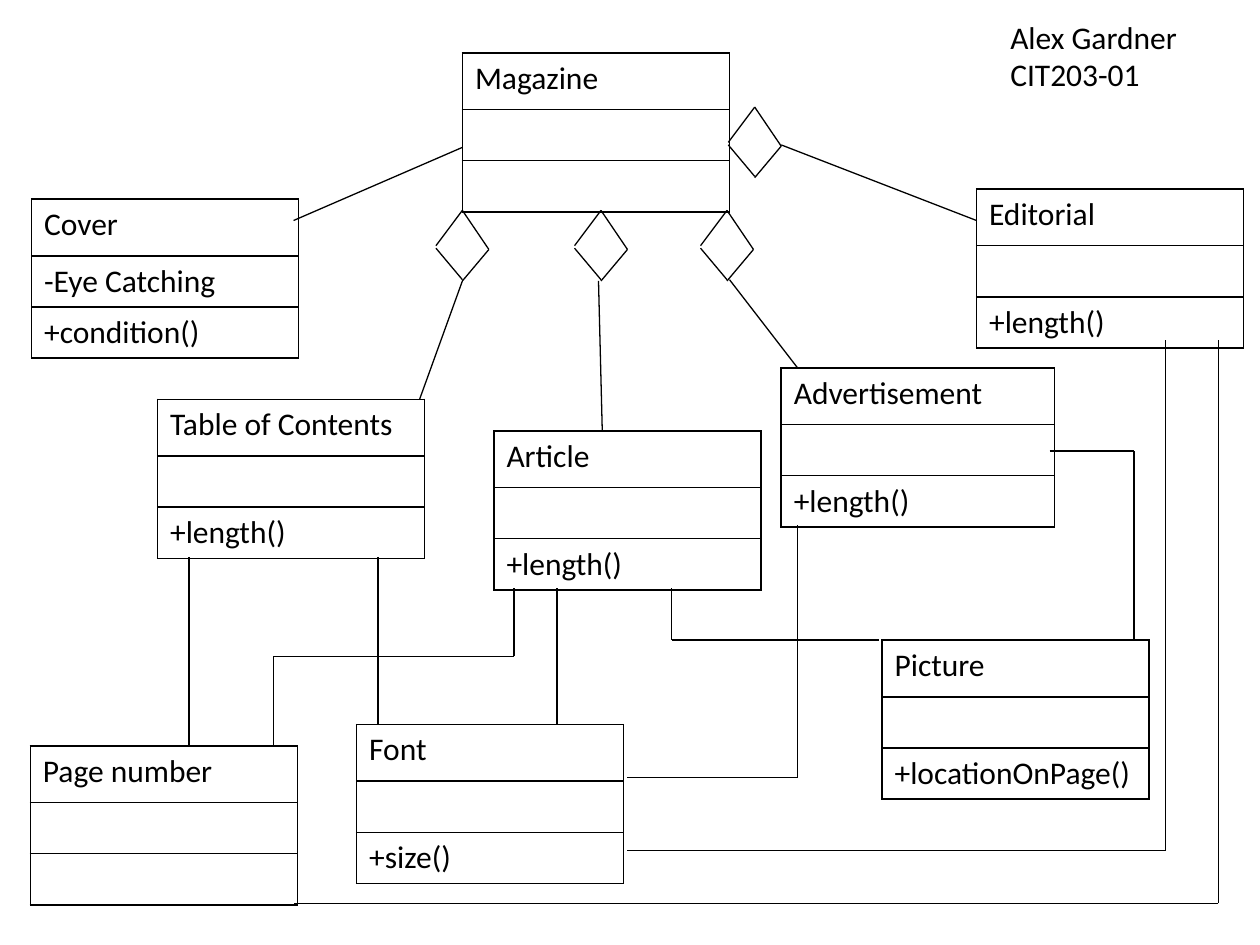
import itertools
import lxml.etree
import pptx
import pptx.dml.color
import pptx.enum.shapes
import pptx.enum.text
import pptx.oxml.ns
import pptx.util

BLACK = pptx.dml.color.RGBColor(0, 0, 0)
FONT = {"name": "Calibri", "size": pptx.util.Pt(18), "bold": False}
PLAIN = {"first_row": False, "horz_banding": False}
ROWS = (0.45, 0.4, 0.4)
WIDE = 2.12

# left, top, width, then name, fields and methods
BOXES = [
    (3.67, 0.42, WIDE, ("Magazine", "", "")),
    (6.2, 2.92, 2.17, ("Advertisement", "", "+length()")),
    (0.25, 1.58, WIDE, ("Cover", "-Eye Catching", "+condition()")),
    (7.75, 1.5, WIDE, ("Editorial", "", "+length()")),
    (3.92, 3.42, WIDE, ("Article", "", "+length()")),
    (1.25, 3.17, WIDE, ("Table of Contents", "", "+length()")),
    (7, 5.08, WIDE, ("Picture", "", "+locationOnPage()")),
    (0.24, 5.92, WIDE, ("Page number", "", "")),
    (2.83, 5.75, WIDE, ("Font", "", "+size()")),
]

# top corner of each aggregation diamond
TIPS = [(5.99, 0.85), (5.77, 1.67), (4.77, 1.67), (3.67, 1.67)]
# diamond sides, as offsets from the top corner
SIDES = [
    ((0, 0), (0.21, 0.31)),
    ((-0.21, 0.28), (0, 0)),
    ((-0.21, 0.3), (0, 0.55)),
    ((0.21, 0.31), (0, 0.56)),
]

# corner points of each link
LINKS = [
    [(3.67, 1.17), (2.33, 1.75)],
    [(6.2, 1.15), (7.75, 1.75)],
    [(5.79, 2.22), (6.33, 2.92)],
    [(4.75, 2.23), (4.78, 3.42)],
    [(3.67, 2.23), (3.33, 3.17)],
    [(1.5, 4.42), (1.5, 5.92)],
    [(3, 4.42), (3, 5.75)],
    [(4.42, 4.67), (4.42, 5.75)],
    [(5.33, 4.67), (5.33, 5.08), (6.98, 5.08)],
    [(4.08, 4.67), (4.08, 5.21), (2.17, 5.21), (2.17, 5.92)],
    [(6.33, 4.17), (6.33, 6.17), (4.98, 6.17)],
    [(8.33, 3.58), (9, 3.58), (9, 5.08)],
    [(9.67, 2.7), (9.67, 7.17), (2.33, 7.17)],
    [(9.25, 2.7), (9.25, 6.75), (4.98, 6.75)],
]
AUTHOR = ("Alex Gardner", "CIT203-01")


def inch(*sizes):
    """Turn numbers into lengths."""
    return [pptx.util.Inches(size) for size in sizes]


def put(item, values):
    """Set attributes from a dict."""
    for key, value in values.items():
        setattr(item, key, value)


def write(para, text):
    """Write one styled line of text."""
    run = para.add_run()
    run.text = text
    put(run.font, FONT)
    run.font.color.rgb = BLACK


def frame(cell):
    """Give a cell no fill and thin black borders."""
    props = cell._tc.get_or_add_tcPr()
    for side in ("lnL", "lnR", "lnT", "lnB"):
        edge = lxml.etree.SubElement(props, pptx.oxml.ns.qn("a:" + side), w="12700")
        fill = lxml.etree.SubElement(edge, pptx.oxml.ns.qn("a:solidFill"))
        lxml.etree.SubElement(fill, pptx.oxml.ns.qn("a:srgbClr"), val=str(BLACK))
    cell.fill.background()


def box(shapes, left, top, width, texts):
    """Draw a class as a table of three rows."""
    area = inch(left, top, width, sum(ROWS))
    table = shapes.add_table(len(ROWS), 1, *area).table
    put(table, PLAIN)
    for row, high, text in zip(table.rows, inch(*ROWS), texts):
        row.height = high
        cell = row.cells[0]
        frame(cell)
        if text:
            write(cell.text_frame.paragraphs[0], text)


def line(shapes, start, end):
    """Draw a thin straight line."""
    kind = pptx.enum.shapes.MSO_CONNECTOR.STRAIGHT
    link = shapes.add_connector(kind, *inch(*start, *end))
    link.line.color.rgb = BLACK
    link.line.width = pptx.util.Pt(0.75)
    lxml.etree.SubElement(link._element.spPr, pptx.oxml.ns.qn("a:effectLst"))


def label(shapes):
    """Write the author's name and course."""
    text = shapes.add_textbox(*inch(7.92, 0.09, 1.54, 0.71)).text_frame
    put(text, {"word_wrap": False,
               "auto_size": pptx.enum.text.MSO_AUTO_SIZE.SHAPE_TO_FIT_TEXT})
    write(text.paragraphs[0], AUTHOR[0])
    for words in AUTHOR[1:]:
        write(text.add_paragraph(), words)


def main():
    """Build the class diagram."""
    deck = pptx.Presentation()
    deck.slide_width, deck.slide_height = inch(10, 7.5)
    shapes = deck.slides.add_slide(deck.slide_layouts[6]).shapes
    for item in BOXES:
        box(shapes, *item)
    for (left, top), side in itertools.product(TIPS, SIDES):
        line(shapes, *[(left + x, top + y) for x, y in side])
    for link in LINKS:
        for start, end in zip(link, link[1:]):
            line(shapes, start, end)
    label(shapes)
    deck.save("out.pptx")


main()
